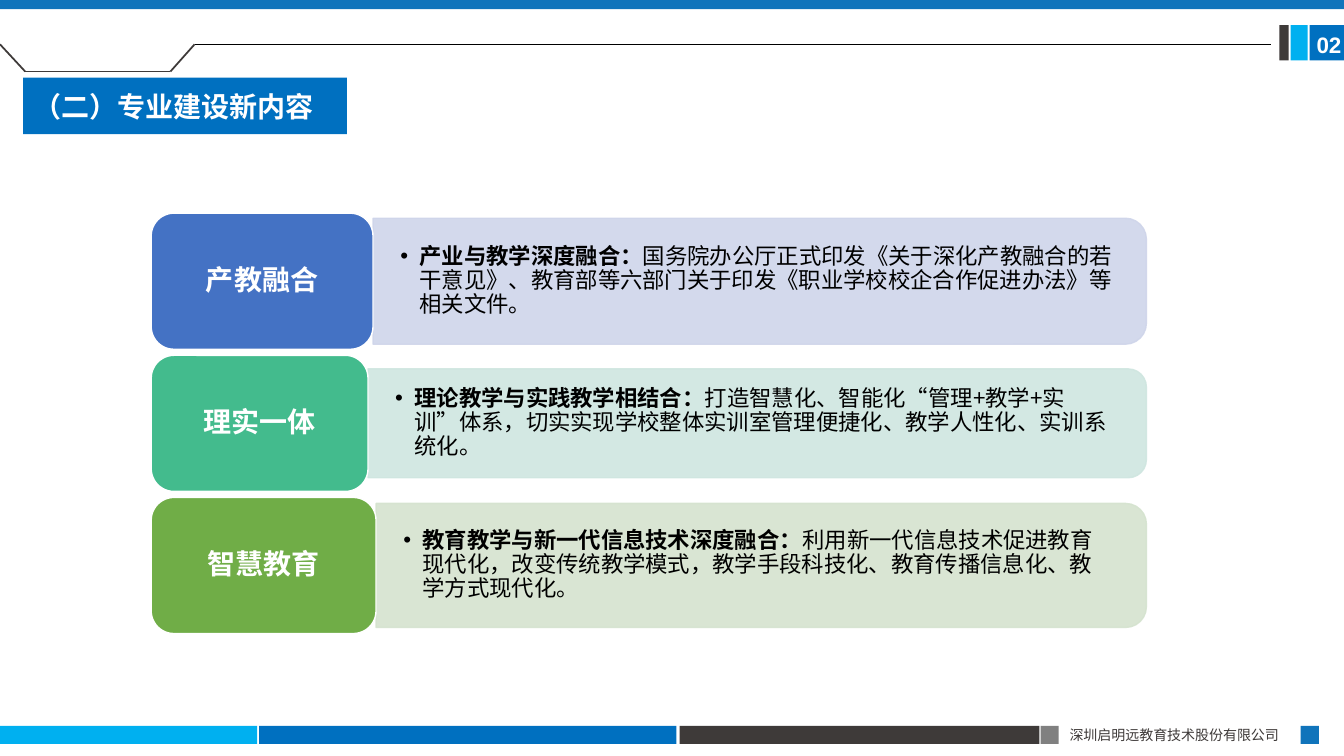
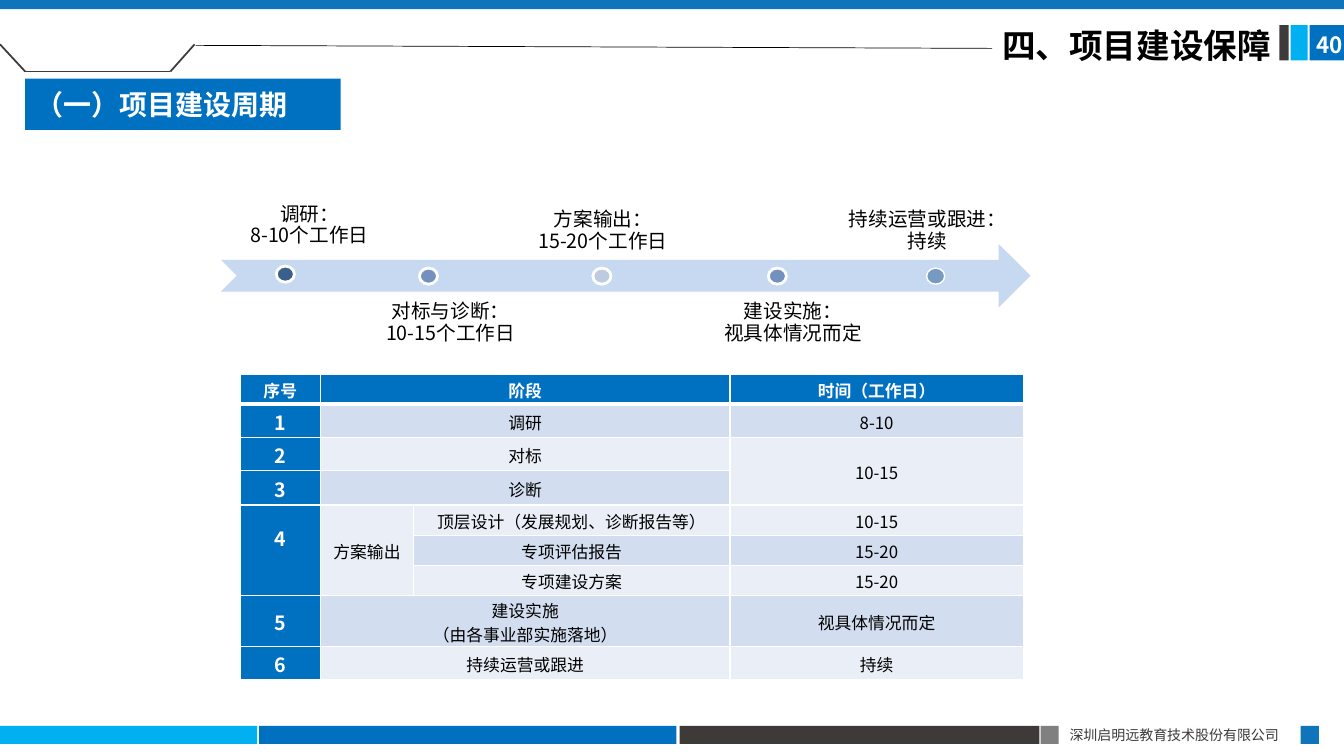
from dataclasses import dataclass
from itertools import pairwise

from lxml import etree
from pptx import Presentation
from pptx.dml.color import RGBColor
from pptx.enum.shapes import MSO_CONNECTOR as Connector, MSO_SHAPE as Shape
from pptx.enum.text import MSO_ANCHOR as Anchor, MSO_AUTO_SIZE as AutoSize, PP_ALIGN as Align
from pptx.oxml.ns import qn
from pptx.util import Inches, Pt


@dataclass(frozen=True)
class Theme:
    # Colours
    blue: str = "0070C0"
    strip: str = "1074BB"
    cyan: str = "00B0F0"
    dark: str = "3E3A39"
    grey: str = "808080"
    black: str = "000000"
    white: str = "FFFFFF"
    arrow: str = "C6D9F1"
    band_dark: str = "D2DEEF"
    band_light: str = "EAEFF7"
    # Fonts
    font: str = "Noto Sans CJK SC"
    title_font: str = "Calibri"
    # Type sizes
    chapter: int = 24
    title: int = 20
    body: int = 16
    stage: int = 14
    cell: int = 12
    footer: int = 10


THEME = Theme()
COMPARISON, TITLE_ONLY = 4, 5


def apply(target, values):
    for name, value in values.items():
        setattr(target, name, value)


def insets(left, top, right, bottom):
    names = ("margin_left", "margin_top", "margin_right", "margin_bottom")
    return dict(zip(names, map(Inches, (left, top, right, bottom))))


class Deck:
    def __init__(self, theme):
        self.theme = theme
        self.presentation = Presentation()
        apply(self.presentation, {"slide_width": Inches(13.33), "slide_height": Inches(7.5)})
        self.slide = None

    # Slide frame: bands, footer, notch, page number and section title
    def start(self, layout, page, title, title_box, page_font=THEME.font):
        theme = self.theme
        layouts = self.presentation.slide_layouts
        self.slide = self.presentation.slides.add_slide(layouts[layout])
        bars = [
            (theme.cyan, 0, 7.2, 2.55, 0.18),
            (theme.blue, 2.57, 7.2, 4.14, 0.18),
            (theme.dark, 6.74, 7.2, 3.57, 0.18),
            (theme.grey, 10.32, 7.2, 0.18, 0.18),
            (theme.strip, 12.9, 7.2, 0.18, 0.18),
            (theme.blue, 12.99, 0.25, 0.34, 0.35),
            (theme.cyan, 12.8, 0.25, 0.17, 0.35),
            (theme.dark, 12.69, 0.25, 0.09, 0.35),
            (theme.strip, 0, 0, 13.33, 0.09),
        ]
        for color, *box in bars:
            self.shape(Shape.RECTANGLE, box, color)
        notch = [(0, 0.44), (0.25, 0.71), (1.69, 0.71), (1.93, 0.44)]
        for start, end in pairwise(notch):
            self.line(start, end, theme.dark, 1.25)
        self.text((10.51, 7.16, 2.4, 0.27), ["深圳启明远教育技术股份有限公司"],
                  theme.footer, theme.dark, paragraph_format={"alignment": Align.JUSTIFY})
        self.text((12.96, 0.26, 0.37, 0.37), [page], theme.body, theme.white, bold=True,
                  font=page_font, frame_format=insets(0.1, 0.05, 0, 0.05))
        heading = self.slide.shapes.title
        self.place(heading, title_box)
        self.paint(heading, theme.blue)
        self.set_text(heading.text_frame, [title], theme.title, theme.white, bold=True,
                      font=theme.title_font, frame_format={"vertical_anchor": Anchor.MIDDLE})

    def place(self, shape, box):
        apply(shape, dict(zip(("left", "top", "width", "height"), map(Inches, box))))

    def paint(self, shape, fill, line=None, weight=1):
        shape.fill.solid()
        shape.fill.fore_color.rgb = RGBColor.from_string(fill)
        if line:
            shape.line.color.rgb = RGBColor.from_string(line)
            shape.line.width = Pt(weight)
        else:
            shape.line.fill.background()

    def shape(self, kind, box, fill, line=None, weight=1):
        shape = self.slide.shapes.add_shape(kind, *map(Inches, box))
        shape.shadow.inherit = False
        self.paint(shape, fill, line, weight)
        return shape

    def line(self, start, end, color, weight):
        connector = self.slide.shapes.add_connector(
            Connector.STRAIGHT, *map(Inches, (*start, *end)))
        connector.line.color.rgb = RGBColor.from_string(color)
        connector.line.width = Pt(weight)
        etree.SubElement(connector._element.spPr, qn("a:effectLst"))

    def set_text(self, frame, lines, size, color, bold=False, font=None,
                 frame_format=None, paragraph_format=None, bullet=False):
        """Each line is a string or a list of (text, bold) runs."""
        font = font or self.theme.font
        apply(frame, {"word_wrap": True, "auto_size": AutoSize.NONE, **(frame_format or {})})
        for index, line in enumerate(lines):
            paragraph = frame.add_paragraph() if index else frame.paragraphs[0]
            if bullet:
                self.bullet(paragraph)
            apply(paragraph, {"alignment": Align.LEFT, "space_before": Pt(0),
                              **(paragraph_format or {})})
            for text, strong in [(line, bold)] if isinstance(line, str) else line:
                run = paragraph.add_run()
                run.text = text
                apply(run.font, {"size": Pt(size), "bold": strong, "name": font})
                run.font.color.rgb = RGBColor.from_string(color)
                east_asian = etree.Element(qn("a:ea"), typeface=self.theme.font)
                run.font._element.find(qn("a:latin")).addnext(east_asian)

    def bullet(self, paragraph):
        properties = paragraph._p.get_or_add_pPr()
        properties.set("marL", str(Inches(0.19)))
        properties.set("indent", str(-Inches(0.19)))
        etree.SubElement(properties, qn("a:buFont"), typeface="Arial")
        etree.SubElement(properties, qn("a:buChar"), char="•")

    def text(self, box, lines, size, color, **formats):
        text_box = self.slide.shapes.add_textbox(*map(Inches, box))
        self.set_text(text_box.text_frame, lines, size, color, **formats)

    # Label block with a pale band and a bulleted list
    def topic(self, placeholder, middle, label, label_width, band_height, colors, runs):
        theme = self.theme
        fill, pale = colors
        left, right, label_height = 1.5, 11.37, 1.35
        start = left + label_width
        length = right - start
        # The band is an upright shape turned by a quarter
        band = self.shape(Shape.ROUND_2_SAME_RECTANGLE,
                          ((start + right - band_height) / 2, middle - length / 2,
                           band_height, length), pale, pale)
        band.rotation = 90
        for color in band._element.spPr.iter(qn("a:srgbClr")):
            etree.SubElement(color, qn("a:alpha"), val="90000")
        height = band_height - 0.12
        self.place(placeholder, (start, middle - height / 2, length - 0.06, height))
        self.set_text(placeholder.text_frame, [runs], theme.body, theme.black, bullet=True,
                      frame_format={"vertical_anchor": Anchor.MIDDLE,
                                    **insets(0.27, 0.14, 0.27, 0.14)},
                      paragraph_format={"line_spacing": 0.9})
        self.slide.shapes._spTree.append(placeholder._element)
        block = self.shape(Shape.ROUNDED_RECTANGLE,
                           (left, middle - label_height / 2, label_width, label_height),
                           fill, theme.white)
        self.set_text(block.text_frame, [label], theme.title, theme.white, bold=True,
                      frame_format={"vertical_anchor": Anchor.MIDDLE},
                      paragraph_format={"alignment": Align.CENTER, "line_spacing": 0.9})

    # Table
    def cell(self, cell, text, fill, size, color, bold, top=1, bottom=1):
        properties = cell._tc.get_or_add_tcPr()
        for side, weight in (("L", 1), ("R", 1), ("T", top), ("B", bottom)):
            border = etree.SubElement(properties, qn(f"a:ln{side}"), w=str(Pt(weight)))
            solid = etree.SubElement(border, qn("a:solidFill"))
            etree.SubElement(solid, qn("a:srgbClr"), val=self.theme.white)
        cell.fill.solid()
        cell.fill.fore_color.rgb = RGBColor.from_string(fill)
        apply(cell, {"vertical_anchor": Anchor.MIDDLE, **insets(0.1, 0.02, 0.1, 0)})
        if text:
            # Only the frame's wrapping is left to the cell itself
            self.set_text(cell.text_frame, text.split("\n"), size, color, bold,
                          paragraph_format={"alignment": Align.CENTER})

    def table(self, box, widths, heights, rows, merges):
        theme = self.theme
        table = self.slide.shapes.add_table(
            len(rows), len(widths), *map(Inches, box)).table
        for column, width in zip(table.columns, widths):
            column.width = Inches(width)
        for row, height in zip(table.rows, heights):
            row.height = Inches(height)
        for first, last in merges:
            table.cell(*first).merge(table.cell(*last))
        for r, values in enumerate(rows):
            for c, value in enumerate(values):
                header = r == 0 or c == 0
                fill = theme.band_dark if r % 2 else theme.band_light
                self.cell(table.cell(r, c), value,
                          theme.blue if header else fill,
                          theme.stage if r and c == 0 else theme.cell,
                          theme.white if header else theme.black, header,
                          top=3 if r == 1 else 1, bottom=1 if r else 3)
        return table


def build_content(deck):
    theme = deck.theme
    deck.start(COMPARISON, "02", "（二）专业建设新内容", (0.23, 0.77, 3.21, 0.56), "Arial")
    deck.line((1.93, 0.44), (12.61, 0.44), theme.black, 0.5)
    topics = [
        ("产教融合", 2.2, 1.25, ("4472C4", "CFD5EA"),
         [("产业与教学深度融合：", True),
          ("国务院办公厅正式印发《关于深化产教融合的若干意见》、教育部等六部门关于印发"
           "《职业学校校企合作促进办法》等相关文件。", False)]),
        ("理实一体", 2.15, 1.08, ("43BB8D", "CFE6E0"),
         [("理论教学与实践教学相结合：", True),
          ("打造智慧化、智能化“管理+教学+实训”体系，切实实现学校整体实训室管理便捷化、"
           "教学人性化、实训系统化。", False)]),
        ("智慧教育", 2.23, 1.23, ("70AD47", "D5E3CF"),
         [("教育教学与新一代信息技术深度融合：", True),
          ("利用新一代信息技术促进教育现代化，改变传统教学模式，教学手段科技化、"
           "教育传播信息化、教学方式现代化。", False)]),
    ]
    _, *bodies = deck.slide.placeholders
    for index, (placeholder, topic) in enumerate(zip(bodies, topics)):
        deck.topic(placeholder, 2.79 + 1.41 * index, *topic)
    for unused in bodies[len(topics):]:
        deck.slide.shapes._spTree.remove(unused._element)


def build_schedule(deck):
    theme = deck.theme
    deck.start(TITLE_ONLY, "40", "（一）项目建设周期", (0.25, 0.78, 3.13, 0.51))
    deck.line((1.94, 0.45), (9.84, 0.48), theme.black, 0.5)
    deck.text((9.84, 0.24, 3.28, 0.49), ["四、项目建设保障"], theme.chapter, theme.black,
              bold=True, paragraph_format={"line_spacing": 0.9})

    # Timeline: labels stand above and below the arrow in turn
    deck.shape(Shape.NOTCHED_RIGHT_ARROW, (2.19, 2.42, 8.03, 0.63), theme.arrow)
    stages = [
        (["调研：", "8-10个工作日"], (2.2, 1.9, 1.74), (2.74, 2.64), "3A5F8C", 2),
        (["对标与诊断：", "10-15个工作日"], (3.6, 2.97, 1.74), (4.16, 2.66), "7391BF", 2),
        (["方案输出：", "15-20个工作日"], (5.13, 1.95, 1.7), (5.88, 2.66), "BECADF", 2),
        (["建设实施：", "视具体情况而定"], (6.89, 2.97, 1.95), (7.62, 2.66), "7391BF", 2),
        (["持续运营或跟进：", "持续"], (8.33, 1.95, 1.74), (9.19, 2.66), "769AC0", 1),
    ]
    for index, (lines, label, dot, color, weight) in enumerate(stages):
        anchor = Anchor.TOP if index % 2 else Anchor.BOTTOM
        deck.text((*label, 0.63), lines, theme.stage, theme.black,
                  frame_format={"vertical_anchor": anchor, **insets(0.08, 0.08, 0.08, 0.08)},
                  paragraph_format={"alignment": Align.CENTER, "line_spacing": Pt(10.8),
                                    "space_after": Pt(4.9)})
        deck.shape(Shape.OVAL, (*dot, 0.18, 0.16), color, theme.white, weight)

    # Schedule table
    rows = [
        ("序号", "阶段", "", "时间（工作日）"),
        ("1", "调研", "", "8-10"),
        ("2", "对标", "", "10-15"),
        ("3", "诊断", "", ""),
        ("4", "方案输出", "顶层设计（发展规划、诊断报告等）", "10-15"),
        ("", "", "专项评估报告", "15-20"),
        ("", "", "专项建设方案", "15-20"),
        ("5", "建设实施\n（由各事业部实施落地）", "", "视具体情况而定"),
        ("6", "持续运营或跟进", "", "持续"),
    ]
    merges = [((row, 1), (row, 2)) for row in (0, 1, 2, 3, 7, 8)]
    merges += [((2, 3), (3, 3)), ((4, 0), (6, 0)), ((4, 1), (6, 1))]
    table = deck.table((2.38, 3.71, 7.77, 3.03), (0.8, 0.92, 3.14, 2.91),
                       (0.3, 0.33, 0.33, 0.34, 0.3, 0.3, 0.3, 0.5, 0.33), rows, merges)
    table.cell(4, 0).margin_bottom = Inches(0.26)


def main():
    deck = Deck(THEME)
    build_content(deck)
    build_schedule(deck)
    deck.presentation.save("out.pptx")


if __name__ == "__main__":
    main()
